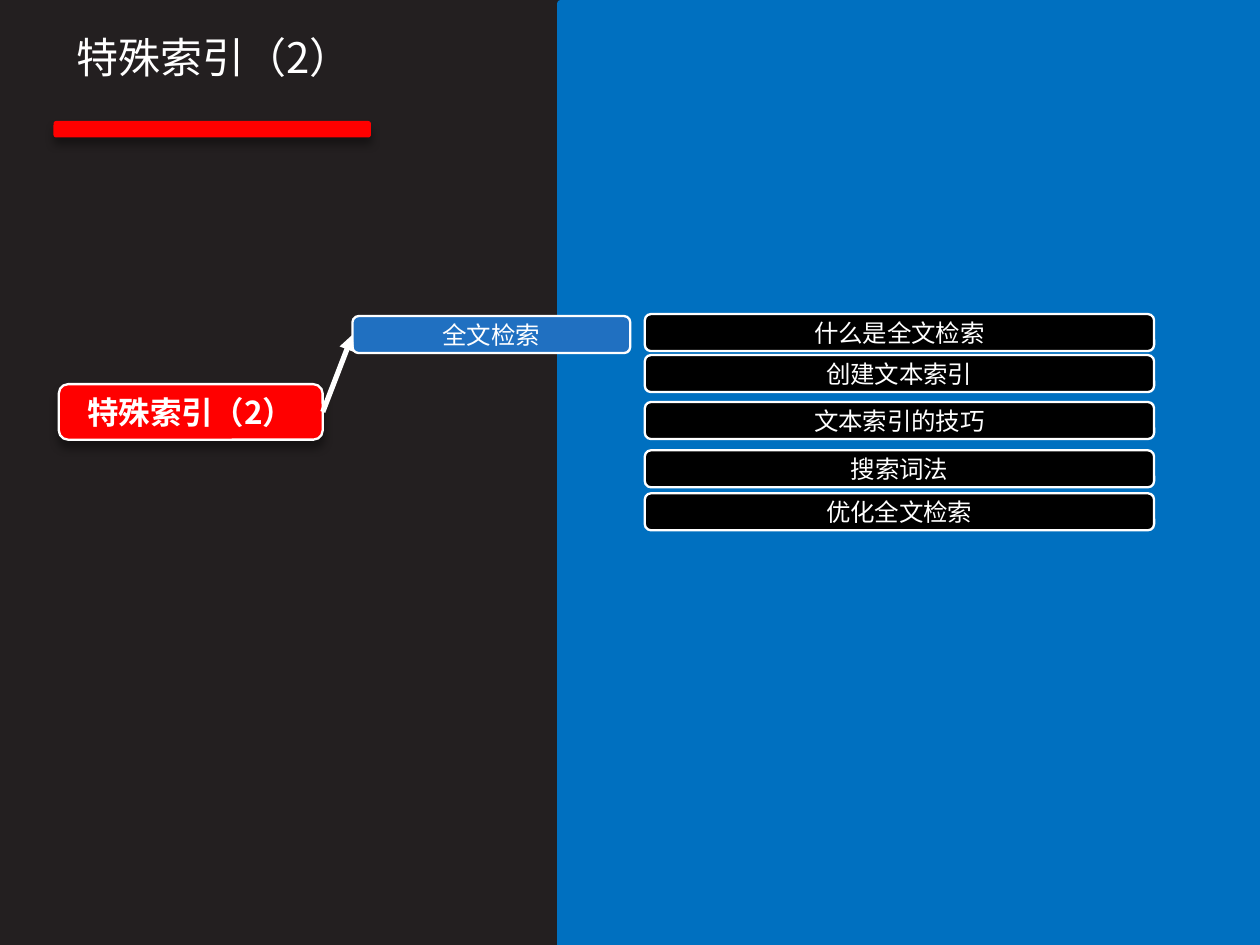
from lxml import etree
from pptx import Presentation
from pptx.dml.color import RGBColor
from pptx.enum.shapes import MSO_CONNECTOR, MSO_SHAPE
from pptx.enum.text import MSO_ANCHOR, PP_ALIGN
from pptx.oxml.ns import qn
from pptx.util import Cm, Pt

ROUNDED = MSO_SHAPE.ROUNDED_RECTANGLE
RECTANGLE = MSO_SHAPE.RECTANGLE
STRAIGHT = MSO_CONNECTOR.STRAIGHT
CENTER = PP_ALIGN.CENTER
TOP, MIDDLE = MSO_ANCHOR.TOP, MSO_ANCHOR.MIDDLE
FONT = "Noto Sans CJK SC"
COLORS = {
    "background": "231F20",
    "panel": "0070C0",
    "accent": "FF0000",
    "topic": "2070C1",
    "detail": "000000",
    "shadow": "000000",
    "white": "FFFFFF",
}


def write(shape, text, size, bold=False, anchor=MIDDLE):
    frame = shape.text_frame
    frame.text = text
    frame.word_wrap = True
    frame.vertical_anchor = anchor
    frame.margin_top = frame.margin_bottom = Cm(0.12) if anchor == TOP else 0
    paragraph = frame.paragraphs[0]
    paragraph.alignment = CENTER
    run = paragraph.runs[0]
    run.font.size = Pt(size)
    run.font.bold = bold
    run.font.name = FONT
    run.font.color.rgb = RGBColor.from_string(COLORS["white"])
    etree.SubElement(run._r.get_or_add_rPr(), qn("a:ea"), typeface=FONT)


def add_block(kind, left, top, width, height, fill, line=None, weight=1, shadow=False):
    block = slide.shapes.add_shape(kind, Cm(left), Cm(top), Cm(width), Cm(height))
    block.fill.solid()
    block.fill.fore_color.rgb = RGBColor.from_string(COLORS[fill])
    if line:
        block.line.color.rgb = RGBColor.from_string(COLORS[line])
        block.line.width = Pt(weight)
    else:
        block.line.fill.background()
    block.shadow.inherit = False
    if shadow:
        effects = block._element.spPr.find(qn("a:effectLst"))
        outer = etree.SubElement(
            effects, qn("a:outerShdw"), blurRad=str(Pt(4)), dist=str(Pt(3)),
            dir="5400000", rotWithShape="0")
        tint = etree.SubElement(outer, qn("a:srgbClr"), val=COLORS["shadow"])
        etree.SubElement(tint, qn("a:alpha"), val="40000")
    return block


prs = Presentation()
prs.slide_width, prs.slide_height = Cm(19.05), Cm(14.29)
slide = prs.slides.add_slide(prs.slide_layouts[5])
slide.background.fill.solid()
slide.background.fill.fore_color.rgb = RGBColor.from_string(COLORS["background"])

heading = slide.shapes.title
heading.left, heading.top = Cm(0.69), Cm(0.36)
heading.width, heading.height = Cm(5.1), Cm(1.4)
write(heading, "特殊索引（2）", 18, anchor=TOP)

add_block(ROUNDED, 0.81, 1.83, 4.8, 0.25, "accent", shadow=True)
add_block(RECTANGLE, 8.48, 0.05, 10.57, 14.25, "panel", "panel", 3)

chapter = add_block(ROUNDED, 0.89, 5.81, 3.99, 0.84, "accent", "white", shadow=True)
write(chapter, "特殊索引（2）", 13.5, bold=True)

details = [
    ("什么是全文检索", 4.75),
    ("创建文本索引", 5.37),
    ("文本索引的技巧", 6.08),
    ("搜索词法", 6.81),
    ("优化全文检索", 7.46),
]
for label, top in details:
    detail = add_block(ROUNDED, 9.75, top, 7.7, 0.56, "detail", "white")
    write(detail, label, 10.5)

topic = add_block(ROUNDED, 5.33, 4.78, 4.2, 0.56, "topic", "white")
write(topic, "全文检索", 10.5)

arrow = slide.shapes.add_connector(STRAIGHT, Cm(4.88), Cm(6.23), Cm(5.33), Cm(5.06))
arrow.begin_connect(chapter, 3)
arrow.end_connect(topic, 1)
arrow.line.color.rgb = RGBColor.from_string(COLORS["white"])
arrow.line.width = Pt(2.25)
etree.SubElement(arrow.line._get_or_add_ln(), qn("a:tailEnd"), type="triangle")
etree.SubElement(arrow._element.spPr, qn("a:effectLst"))

prs.save("out.pptx")
